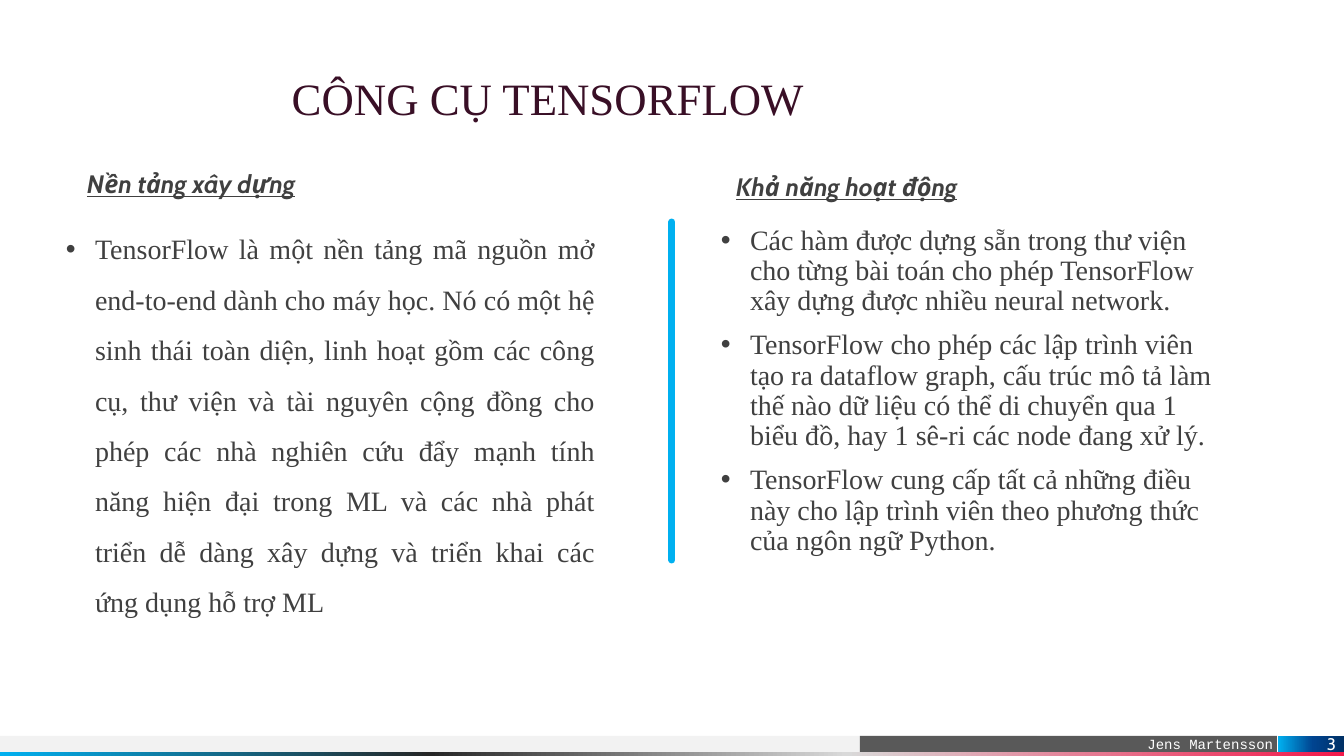
from dataclasses import dataclass

from lxml.etree import SubElement
from pptx import Presentation
from pptx.dml.color import RGBColor
from pptx.enum.shapes import MSO_CONNECTOR, MSO_SHAPE
from pptx.enum.text import MSO_ANCHOR, MSO_AUTO_SIZE, PP_ALIGN
from pptx.oxml.ns import qn
from pptx.util import Emu, Pt

WIDTH, HEIGHT = 1344, 756
EMU_PER_PX = 12192000 / WIDTH
COMPARISON_LAYOUT = 4


def px(length):
    return Emu(round(length * EMU_PER_PX))


@dataclass(frozen=True)
class Theme:
    title_color: str = "390F26"
    text_color: str = "404040"
    accent: str = "00B0F0"
    light_bar: str = "F2F2F2"
    dark_bar: str = "595959"
    on_dark: str = "FFFFFF"
    stripe: tuple = ((0, "F2194A"), (37, "D9D9D9"), (68, "262626"), (100, "00B0F0"))
    number_fade: tuple = ((0, "003065"), (47, "004490"), (100, "00B0F0"))
    serif: str = "Times New Roman"
    sans: str = "Cabin"
    mono: str = "Courier New"
    title_size: int = 32
    heading_size: int = 18
    body_size: int = 20
    number_size: int = 12
    footer_size: int = 10


class SlideBuilder:
    def __init__(self, slide, theme):
        self.slide = slide
        self.theme = theme

    def _frame(self, shape, anchor, right=0, bottom=0):
        """Fix the insets and anchor of a shape's text and return its frame."""
        frame = shape.text_frame
        frame.auto_size = MSO_AUTO_SIZE.NONE
        frame.word_wrap = True
        frame.vertical_anchor = anchor
        frame.margin_left = frame.margin_top = 0
        frame.margin_right, frame.margin_bottom = px(right), px(bottom)
        return frame

    def _place(self, index, box):
        placeholder = self.slide.placeholders[index]
        (placeholder.left, placeholder.top,
         placeholder.width, placeholder.height) = map(px, box)
        return placeholder

    def _run(self, paragraph, text, font, size, color, emphasis=False):
        run = paragraph.add_run()
        run.text = text
        run.font.name = font
        run.font.size = Pt(size)
        run.font.color.rgb = RGBColor.from_string(color)
        run.font.bold = run.font.italic = run.font.underline = emphasis

    def title(self, text, box, bottom):
        frame = self._frame(self._place(0, box), MSO_ANCHOR.BOTTOM, bottom=bottom)
        paragraph = frame.paragraphs[0]
        paragraph.alignment = PP_ALIGN.CENTER
        self._run(paragraph, text, self.theme.serif,
                  self.theme.title_size, self.theme.title_color)

    def heading(self, index, text, box):
        frame = self._frame(self._place(index, box), MSO_ANCHOR.TOP)
        paragraph = frame.paragraphs[0]
        paragraph.line_spacing = 0.9
        paragraph.space_before = Pt(0)
        self._run(paragraph, text, self.theme.sans, self.theme.heading_size,
                  self.theme.text_color, emphasis=True)

    def bullets(self, index, items, box, line_spacing, alignment):
        frame = self._frame(self._place(index, box), MSO_ANCHOR.TOP)
        for position, item in enumerate(items):
            paragraph = frame.add_paragraph() if position else frame.paragraphs[0]
            properties = paragraph._p.get_or_add_pPr()
            properties.set("marL", str(px(29)))
            properties.set("indent", str(-px(29)))
            SubElement(properties, qn("a:buFont"), typeface="Arial")
            SubElement(properties, qn("a:buChar"), char="•")
            paragraph.alignment = alignment
            paragraph.line_spacing = line_spacing
            paragraph.space_before = Pt(10 if position else 0)
            self._run(paragraph, item, self.theme.serif,
                      self.theme.body_size, self.theme.text_color)

    def bar(self, box, fill):
        """Add a borderless bar; fill is a colour or a tuple of gradient stops."""
        bar = self.slide.shapes.add_shape(MSO_SHAPE.RECTANGLE, *map(px, box))
        bar.shadow.inherit = False
        bar.line.fill.background()
        if isinstance(fill, str):
            bar.fill.solid()
            bar.fill.fore_color.rgb = RGBColor.from_string(fill)
            return bar
        bar.fill.gradient()
        bar.fill.gradient_angle = 180
        stops = bar._element.spPr.find(".//" + qn("a:gsLst"))
        for stop in list(stops):
            stops.remove(stop)
        for percent, color in fill:
            stop = SubElement(stops, qn("a:gs"), pos=str(percent * 1000))
            SubElement(stop, qn("a:srgbClr"), val=color)
        return bar

    def bar_label(self, bar, text, font, size, anchor, right):
        paragraph = self._frame(bar, anchor, right=right).paragraphs[0]
        paragraph.alignment = PP_ALIGN.RIGHT
        self._run(paragraph, text, font, size, self.theme.on_dark)

    def divider(self, x, top, bottom):
        divider = self.slide.shapes.add_connector(
            MSO_CONNECTOR.STRAIGHT, px(x), px(top), px(x), px(bottom))
        divider.line.color.rgb = RGBColor.from_string(self.theme.accent)
        divider.line.width = Pt(5)
        divider.line._get_or_add_ln().set("cap", "rnd")
        SubElement(divider._element.spPr, qn("a:effectLst"))


PLATFORM = [
    "TensorFlow là một nền tảng mã nguồn mở end-to-end dành cho máy học. "
    "Nó có một hệ sinh thái toàn diện, linh hoạt gồm các công cụ, thư viện và "
    "tài nguyên cộng đồng cho phép các nhà nghiên cứu đẩy mạnh tính năng hiện đại "
    "trong ML và các nhà phát triển dễ dàng xây dựng và triển khai các ứng dụng "
    "hỗ trợ ML",
]
CAPABILITIES = [
    "Các hàm được dựng sẵn trong thư viện cho từng bài toán cho phép TensorFlow "
    "xây dựng được nhiều neural network.",
    "TensorFlow cho phép các lập trình viên tạo ra dataflow graph, cấu trúc mô tả "
    "làm thế nào dữ liệu có thể di chuyển qua 1 biểu đồ, hay 1 sê-ri các node "
    "đang xử lý.",
    "TensorFlow cung cấp tất cả những điều này cho lập trình viên theo phương thức "
    "của ngôn ngữ Python.",
]


def main():
    presentation = Presentation()
    presentation.slide_width, presentation.slide_height = px(WIDTH), px(HEIGHT)
    layout = presentation.slide_layouts[COMPARISON_LAYOUT]
    theme = Theme()
    builder = SlideBuilder(presentation.slides.add_slide(layout), theme)

    builder.bar((0, 736, 1037, 16), theme.light_bar)
    footer = builder.bar((860, 736, 417, 16), theme.dark_bar)
    builder.bar_label(footer, "Jens Martensson", theme.mono,
                      theme.footer_size, MSO_ANCHOR.BOTTOM, right=4)
    builder.bar((0, 752, WIDTH, 4), theme.stripe)
    page_number = builder.bar((1278, 736, 66, 16), theme.number_fade)
    builder.bar_label(page_number, "3", theme.sans,
                      theme.number_size, MSO_ANCHOR.MIDDLE, right=8)

    builder.title("CÔNG CỤ TENSORFLOW", (284, 0, 528, 154), bottom=29)
    builder.heading(1, "Nền tảng xây dựng", (87, 172, 487, 39))
    builder.bullets(2, PLATFORM, (66, 215, 529, 413), 1.5, PP_ALIGN.JUSTIFY)
    builder.divider(672, 222, 560)
    builder.heading(3, "Khả năng hoạt động", (736, 175, 487, 39))
    builder.bullets(4, CAPABILITIES, (721, 226, 503, 421), 0.9, PP_ALIGN.LEFT)

    presentation.save("out.pptx")


if __name__ == "__main__":
    main()
